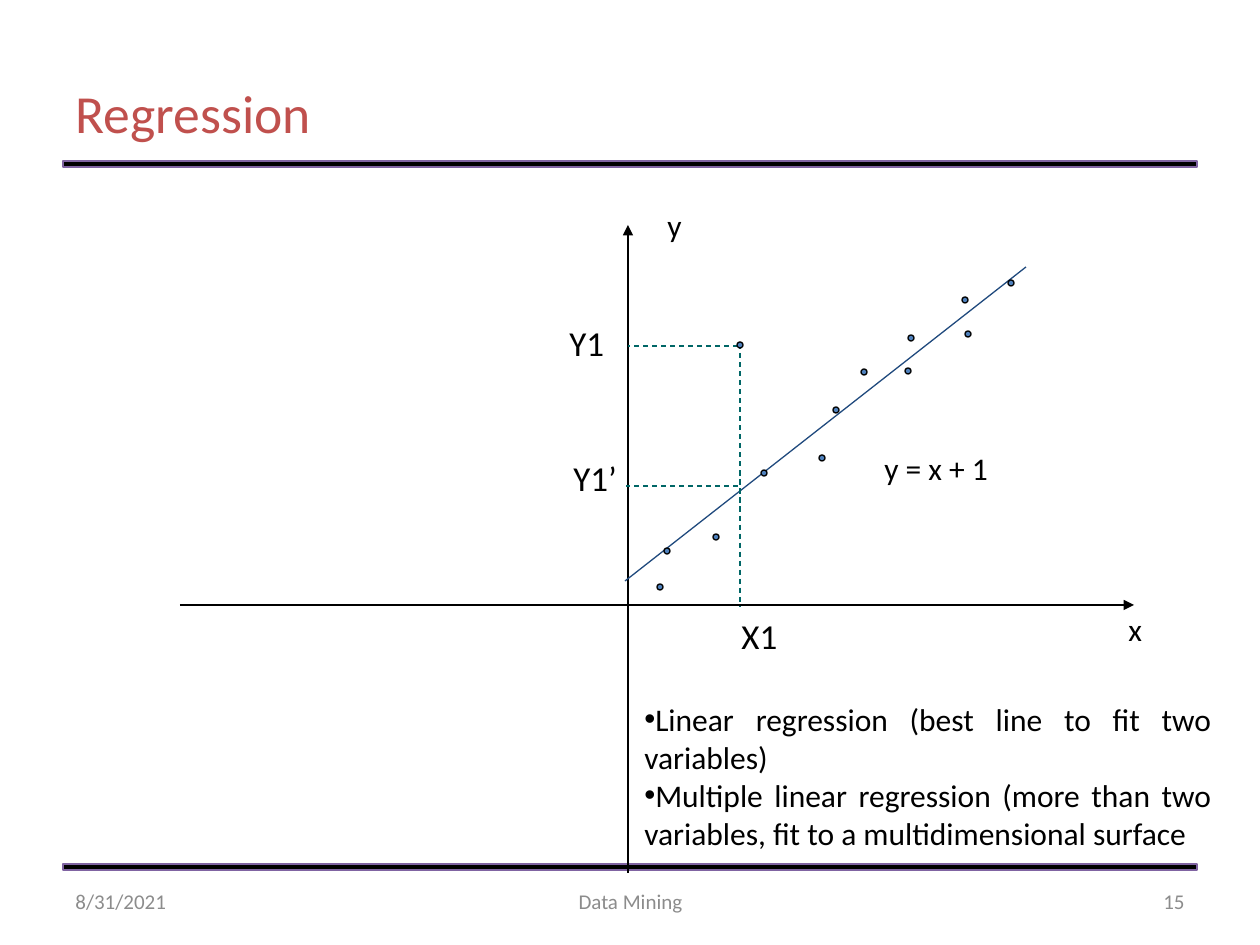
from lxml import etree
from pptx import Presentation
from pptx.dml.color import RGBColor
from pptx.enum.dml import MSO_LINE
from pptx.enum.shapes import MSO_CONNECTOR, MSO_SHAPE
from pptx.enum.text import MSO_ANCHOR, MSO_AUTO_SIZE, PP_ALIGN
from pptx.oxml.ns import qn
from pptx.util import Emu, Pt

STRAIGHT = MSO_CONNECTOR.STRAIGHT
RECTANGLE, OVAL = MSO_SHAPE.RECTANGLE, MSO_SHAPE.OVAL
DASH = MSO_LINE.DASH
TOP, MIDDLE = MSO_ANCHOR.TOP, MSO_ANCHOR.MIDDLE
LEFT, CENTER, RIGHT, JUSTIFY = PP_ALIGN.LEFT, PP_ALIGN.CENTER, PP_ALIGN.RIGHT, PP_ALIGN.JUSTIFY

FONT = "Calibri"
COLORS = {
    "black": "000000",
    "bar outline": "8064A2",
    "title": "C0504D",
    "footer": "8C8C8C",
    "point": "4F81BD",
    "fit": "1F497D",
    "guide": "006666",
}
PX = 914400 / 126


def place(shapes, preset, box, fill, outline):
    shape = shapes.add_shape(preset, *[Emu(round(n * PX)) for n in box])
    shape.shadow.inherit = False
    shape.fill.solid()
    shape.fill.fore_color.rgb = RGBColor.from_string(COLORS[fill])
    shape.line.color.rgb = RGBColor.from_string(COLORS[outline])
    shape.line.width = Pt(0.75)


def write(shape, box, text, size, color, align=LEFT, anchor=TOP, wrap=True):
    shape.left, shape.top, shape.width, shape.height = [Emu(round(n * PX)) for n in box]
    frame = shape.text_frame
    frame.text = text
    frame.word_wrap = wrap
    frame.auto_size = MSO_AUTO_SIZE.NONE
    frame.vertical_anchor = anchor
    for paragraph in frame.paragraphs:
        paragraph.alignment = align
        for run in paragraph.runs:
            run.font.name = FONT
            run.font.size = Pt(size)
            run.font.color.rgb = RGBColor.from_string(COLORS[color])


presentation = Presentation()
presentation.slide_width = Emu(round(1260 * PX))
presentation.slide_height = Emu(round(945 * PX))
slide = presentation.slides.add_slide(presentation.slide_layouts[5])
shapes = slide.shapes

# Title and the bars that frame the content
write(shapes.title, (63, 78, 1134, 69), "Regression", 30.6, "title", anchor=MIDDLE)
for top in (161, 864):
    place(shapes, RECTANGLE, (63, top, 1134, 6), "black", "bar outline")

# Footer
for left, width, text, align in [
    (63, 294, "8/31/2021", LEFT),
    (431, 399, "Data Mining", CENTER),
    (903, 294, "15", RIGHT),
]:
    footer = shapes.add_textbox(0, 0, 0, 0)
    write(footer, (left, 876, width, 50), text, 12, "footer", align, MIDDLE)

# Axes, fitted line and dashed guides
for ends, color, dashed, arrow in [
    ((180, 605, 1134, 605), "black", False, True),
    ((628, 873, 628, 225), "black", False, True),
    ((625, 581, 1026, 267), "fit", False, False),
    ((740, 344, 740, 607), "guide", True, False),
    ((738, 346, 628, 346), "guide", True, False),
    ((738, 486, 626, 486), "guide", True, False),
]:
    line = shapes.add_connector(STRAIGHT, *[Emu(round(n * PX)) for n in ends])
    line.line.color.rgb = RGBColor.from_string(COLORS[color])
    line.line.width = Pt(0.75)
    if dashed:
        line.line.dash_style = DASH
    if arrow:
        etree.SubElement(line.line._get_or_add_ln(), qn("a:tailEnd"), type="triangle")
    etree.SubElement(line._element.spPr, qn("a:effectLst"))

# Data points
for left, top in [
    (657, 584), (664, 548), (713, 534), (737, 342), (761, 470), (819, 455), (833, 407),
    (861, 369), (905, 368), (908, 335), (962, 297), (965, 331), (1008, 280),
]:
    place(shapes, OVAL, (left, top, 6, 6), "point", "black")

# Axis, equation and value labels
for left, top, width, height, text, size in [
    (1116, 604, 47, 63, "x", 18),
    (655, 200, 47, 63, "y", 18),
    (872, 443, 178, 63, "y = x + 1", 18),
    (729, 608, 68, 54, "X1", 20),
    (557, 315, 68, 54, "Y1", 20),
    (561, 450, 79, 54, "Y1’", 20),
]:
    label = shapes.add_textbox(0, 0, 0, 0)
    write(label, (left, top, width, height), text, size, "black", wrap=False)

# Bulleted explanation
notes = shapes.add_textbox(0, 0, 0, 0)
write(
    notes, (632, 694, 592, 165),
    "Linear regression (best line to fit two variables)\n"
    "Multiple linear regression (more than two variables, fit to a multidimensional surface",
    18, "black", JUSTIFY,
)
for paragraph in notes.text_frame.paragraphs:
    properties = paragraph._p.get_or_add_pPr()
    etree.SubElement(properties, qn("a:buFont"), typeface="Arial")
    etree.SubElement(properties, qn("a:buChar"), char="•")

presentation.save("out.pptx")
